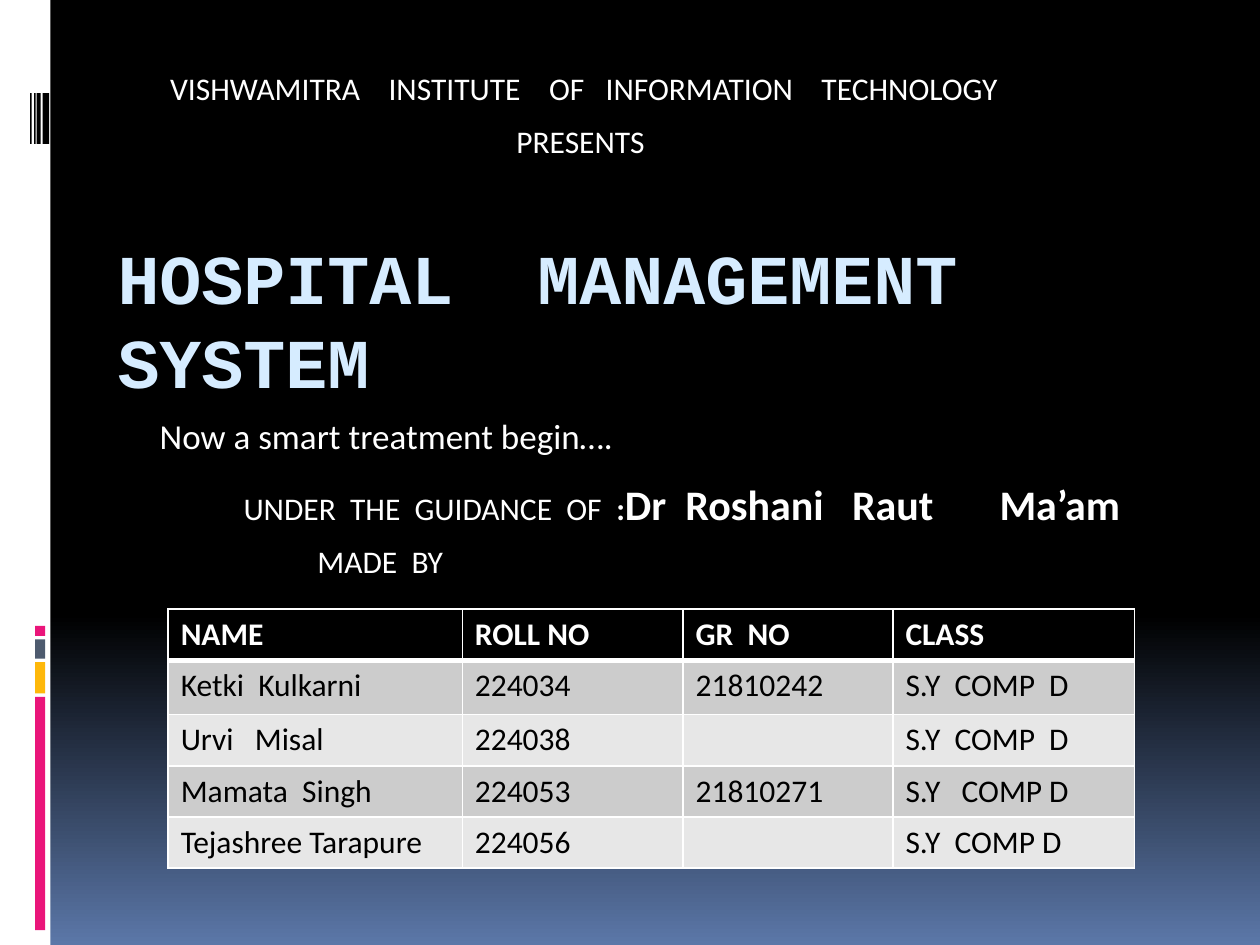
"""Build the title slide of a hospital management project."""
from dataclasses import dataclass

from lxml import etree
from pptx import Presentation
from pptx import util as u
from pptx.dml.color import RGBColor
from pptx.enum import shapes, text
from pptx.oxml import ns

WHITE = RGBColor(0xFF, 0xFF, 0xFF)
BLACK = RGBColor(0, 0, 0)
BLUE = RGBColor(0x5B, 0x77, 0xA8)
ICE = RGBColor(0xD6, 0xEC, 0xFF)
PINK = RGBColor(0xEA, 0x15, 0x7A)
GOLD = RGBColor(0xFE, 0xB8, 0x0A)
SLATE = RGBColor(0x4E, 0x5B, 0x6F)
DARK = RGBColor(0xCC, 0xCC, 0xCC)
LIGHT = RGBColor(0xE7, 0xE7, 0xE7)


@dataclass
class Box:
    """A place on the slide, in centimetres."""
    left: float
    top: float
    width: float
    height: float

    def place(self) -> tuple:
        """Return the four lengths."""
        return tuple(u.Cm(n) for n in (self.left, self.top, self.width, self.height))


@dataclass
class Label:
    """A line of text and its box."""
    words: str
    box: Box
    size: int = 18
    bold: bool = False


def write(para, words: str, *, size: int = 18, color: RGBColor = WHITE,
          bold: bool = False, font: str = "Calibri") -> None:
    """Add a formatted run to a paragraph."""
    run = para.add_run()
    run.text = words
    run.font.size = u.Pt(size)
    run.font.color.rgb = color
    run.font.bold = bold
    run.font.name = font


def frame(slide, box: Box):
    """Add a wrapping text box and return its text frame."""
    body = slide.shapes.add_textbox(*box.place()).text_frame
    body.word_wrap = True
    return body


def bar(slide, box: Box, color: RGBColor) -> None:
    """Draw a plain filled bar."""
    shape = slide.shapes.add_shape(shapes.MSO_SHAPE.RECTANGLE, *box.place())
    shape.shadow.inherit = False
    shape.fill.solid()
    shape.fill.fore_color.rgb = color
    shape.line.fill.background()


def edge(cell, low: float, high: float) -> None:
    """Give a cell white borders, with its own top and bottom widths."""
    props = cell._tc.get_or_add_tcPr()
    for i, (side, width) in enumerate(zip("LRTB", (1, 1, high, low))):
        line = etree.Element(ns.qn(f"a:ln{side}"), w=str(u.Pt(width)))
        fill = etree.SubElement(line, ns.qn("a:solidFill"))
        etree.SubElement(fill, ns.qn("a:srgbClr"), val=str(WHITE))
        props.insert(i, line)


def grid(slide, box: Box, rows: list, cols: list, tall: list) -> None:
    """Draw the table of students."""
    table = slide.shapes.add_table(len(rows), len(cols), *box.place()).table
    for col, width in zip(table.columns, cols):
        col.width = u.Cm(width)
    for i, row in enumerate(rows):
        table.rows[i].height = u.Cm(tall[i])
        head = i == 0
        for j, words in enumerate(row):
            cell = table.cell(i, j)
            cell.fill.solid()
            cell.fill.fore_color.rgb = BLACK if head else DARK if i % 2 else LIGHT
            edge(cell, 3 if head else 1, 3 if i == 1 else 1)
            write(cell.text_frame.paragraphs[0], words,
                  color=WHITE if head else BLACK, bold=head)


STRIPES = [(0.86, 0.13), (0.74, 0.08), (0.69, 0.03), (0.61, 0.03)]
BLOCKS = [(0.2, PINK), (0.39, SLATE), (0.63, GOLD), (4.7, PINK)]
GAP = 0.07
LABELS = [
    Label("MADE  BY", Box(6.15, 10.8, 14.8, 1.02)),
    Label("VISHWAMITRA    INSTITUTE    OF   INFORMATION    TECHNOLOGY",
          Box(3.18, 1.27, 19.25, 1.02)),
    Label("PRESENTS", Box(10.16, 2.33, 4.02, 1.02)),
    Label("Ma’am", Box(19.9, 9.53, 3.6, 1.27), 24, True),
]
ROWS = [
    ("NAME", "ROLL NO", "GR  NO", "CLASS"),
    ("Ketki  Kulkarni", "224034", "21810242", "S.Y  COMP  D"),
    ("Urvi   Misal", "224038", "", "S.Y  COMP  D"),
    ("Mamata  Singh", "224053", "21810271", "S.Y   COMP D"),
    ("Tejashree Tarapure", "224056", "", "S.Y  COMP D"),
]


def main() -> None:
    """Build and save the slide."""
    deck = Presentation()
    deck.slide_width, deck.slide_height = u.Cm(25.4), u.Cm(19.05)
    slide = deck.slides.add_slide(deck.slide_layouts[6])
    back = slide.background.fill
    back.gradient()
    back.gradient_angle = 270
    for stop, (place, color) in zip(back.gradient_stops, [(0.65, BLACK), (1, BLUE)]):
        stop.position = place
        stop.color.rgb = color

    bar(slide, Box(0, 0, 1.02, 19.05), WHITE)
    for left, width in STRIPES:
        bar(slide, Box(left, 1.88, width, 1.02), BLACK)
    top = 12.62
    for height, color in BLOCKS:
        bar(slide, Box(0.71, top, 0.2, height), color)
        top += height + GAP

    title = frame(slide, Box(2.12, 4.45, 21.59, 5.49))
    title.margin_top = u.Cm(0.28)
    title.paragraphs[0].line_spacing = u.Pt(48)
    write(title.paragraphs[0], "HOSPITAL  MANAGEMENT  SYSTEM",
          size=40, color=ICE, bold=True, font="Courier New")
    motto = frame(slide, Box(2.97, 8.05, 21.59, 1.27))
    motto.vertical_anchor = text.MSO_ANCHOR.BOTTOM
    write(motto.paragraphs[0], "Now a smart treatment begin….", size=20)

    grid(slide, Box(3.39, 12.28, 19.48, 5.23), ROWS,
         [5.93, 4.45, 4.23, 4.87], [1.03, 1.09, 1.04, 1.03, 1.03])

    for label in LABELS:
        write(frame(slide, label.box).paragraphs[0], label.words,
              size=label.size, bold=label.bold)
    guide = frame(slide, Box(4.66, 9.53, 19.69, 1.27)).paragraphs[0]
    write(guide, "UNDER  THE  GUIDANCE  OF  ")
    write(guide, ":", bold=True)
    write(guide, "Dr  Roshani   Raut", size=24, bold=True)
    deck.save("out.pptx")


main()
